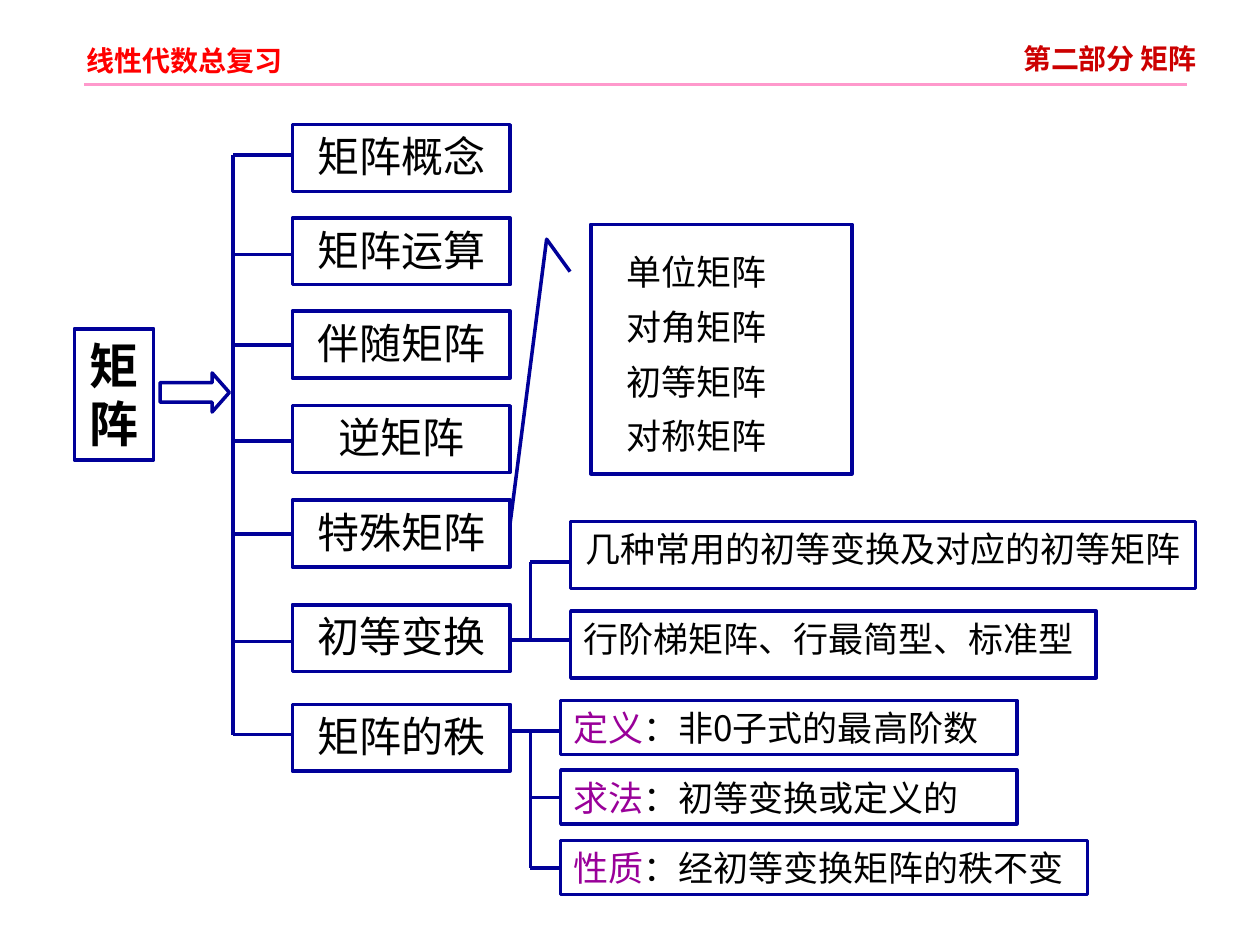
from dataclasses import dataclass

from lxml import etree
from pptx import Presentation
from pptx.dml.color import RGBColor
from pptx.enum.shapes import MSO_CONNECTOR, MSO_SHAPE
from pptx.enum.text import MSO_ANCHOR, MSO_AUTO_SIZE, PP_ALIGN
from pptx.oxml.ns import qn
from pptx.util import Inches, Pt

NAVY = RGBColor(0x00, 0x00, 0x99)
PINK = RGBColor(0xFF, 0x99, 0xCC)
RED = RGBColor(0xFF, 0x00, 0x00)
DARK_RED = RGBColor(0xCC, 0x00, 0x00)
PURPLE = RGBColor(0x99, 0x00, 0x99)
BLACK = RGBColor(0x00, 0x00, 0x00)

FONT = "Noto Sans CJK SC"
LEFT, CENTER = PP_ALIGN.LEFT, PP_ALIGN.CENTER
TOP = MSO_ANCHOR.TOP
NO_FIT = MSO_AUTO_SIZE.NONE
STRAIGHT = MSO_CONNECTOR.STRAIGHT
RECTANGLE = MSO_SHAPE.RECTANGLE
RIGHT_ARROW = MSO_SHAPE.RIGHT_ARROW
CALLOUT = MSO_SHAPE.LINE_CALLOUT_2

# The slide is a grid of 100 columns by 75 rows of square cells.
COLUMNS, ROWS = 100, 75
CELL = Inches(10) / COLUMNS


@dataclass
class Area:
    column: float
    row: float
    columns: float
    rows: float

    def lengths(self) -> list[int]:
        return [cells(n) for n in (self.column, self.row, self.columns, self.rows)]


@dataclass
class Label:
    text: str
    size: int
    color: RGBColor = BLACK
    bold: bool = False
    align: int = LEFT
    lead: str = ""


@dataclass
class Topic:
    text: str
    row: float
    branch_row: float


TOPIC_COLUMN, TOPIC_WIDTH, TOPIC_HEIGHT = 23.2, 17.3, 5.3
TRUNK_COLUMN = 18.5
FORK_COLUMN = 42.1
TOPIC_END = 40.6
TOPICS = [
    Topic("矩阵概念", 9.9, 12.3),
    Topic("矩阵运算", 17.3, 20.2),
    Topic("伴随矩阵", 24.7, 27.4),
    Topic("逆矩阵", 32.2, 35),
    Topic("特殊矩阵", 39.7, 42.4),
    Topic("初等变换", 48, 50.9),
    Topic("矩阵的秩", 55.9, 58.3),
]
SPECIAL_MATRICES = ["单位矩阵", "对角矩阵", "初等矩阵", "对称矩阵"]
CALLOUT_ADJUSTMENTS = [0.19, -0.08, 0.06, -0.17, 1.2, -0.31]

TRANSFORM_COLUMN = 45.3
TRANSFORM_ROWS = [44.6, 50.8]
TRANSFORMS = [
    (Area(TRANSFORM_COLUMN, 41.4, 49.6, 5.3),
     Label("几种常用的初等变换及对应的初等矩阵", 20, align=CENTER)),
    (Area(TRANSFORM_COLUMN, 48.5, 41.7, 5.3),
     Label("行阶梯矩阵、行最简型、标准型", 20)),
]

RANK_COLUMN = 44.5
RANK_ROWS = [58, 63.3, 68.9]
RANK_FACTS = [
    (Area(RANK_COLUMN, 55.6, 36.2, 4.3), Label("：非0子式的最高阶数", 20, lead="定义")),
    (Area(RANK_COLUMN, 61.1, 36.2, 4.3), Label("：初等变换或定义的", 20, lead="求法")),
    (Area(RANK_COLUMN, 66.7, 41.8, 4.3), Label("：经初等变换矩阵的秩不变", 20, lead="性质")),
]


def cells(count: float) -> int:
    return round(count * CELL)


def set_font(font, label: Label) -> None:
    font.name, font.size, font.bold = FONT, Pt(label.size), label.bold
    font.color.rgb = label.color


def write(frame, labels: list[Label], gap: float = 0, wrap: bool = True) -> None:
    """Fill a frame from its top, one paragraph a label, gap points apart."""
    frame.word_wrap = wrap
    frame.auto_size = NO_FIT
    frame.vertical_anchor = TOP
    for index, label in enumerate(labels):
        para = frame.add_paragraph() if index else frame.paragraphs[0]
        para.alignment = label.align
        para.space_before = Pt(gap if index else 0)
        properties = para._p.get_or_add_pPr()
        properties.set("marL", "0")
        properties.set("indent", "0")
        etree.SubElement(properties, qn("a:buNone"))
        set_font(para.font, label)
        if label.lead:
            span = para.add_run()
            span.text = label.lead
            span.font.color.rgb = PURPLE
        para.add_run().text = label.text


def place_text(shape, area: Area, labels: list[Label], gap: float = 0) -> None:
    """Place unwrapped text; no right inset, as placeholders may wrap anyway."""
    shape.left, shape.top, shape.width, shape.height = area.lengths()
    shape.text_frame.margin_right = 0
    write(shape.text_frame, labels, gap, wrap=False)


def outline(slide, kind: int, area: Area, adjustments: tuple | list = ()):
    shape = slide.shapes.add_shape(kind, *area.lengths())
    shape.shadow.inherit = False
    shape.fill.background()
    shape.line.color.rgb = NAVY
    shape.line.width = Pt(2)
    for index, value in enumerate(adjustments):
        shape.adjustments[index] = value
    return shape


def label_box(slide, area: Area, label: Label) -> None:
    write(outline(slide, RECTANGLE, area).text_frame, [label])


def rule(slide, start: tuple[float, float], end: tuple[float, float],
         color: RGBColor = NAVY, width: float = 2) -> None:
    points = [cells(n) for n in (*start, *end)]
    line = slide.shapes.add_connector(STRAIGHT, *points)
    line.line.color.rgb = color
    line.line.width = Pt(width)
    etree.SubElement(line._element.spPr, qn("a:effectLst"))


def bracket(slide, trunk: float, rows: list[float], end: float) -> None:
    """Draw a vertical trunk with one branch to the right at each row."""
    rule(slide, (trunk, rows[0]), (trunk, rows[-1]))
    for row in rows:
        rule(slide, (trunk, row), (end, row))


def main() -> None:
    deck = Presentation()
    deck.slide_width, deck.slide_height = cells(COLUMNS), cells(ROWS)
    page = deck.slides.add_slide(deck.slide_layouts[1])

    rule(page, (6.7, 6.7), (94.2, 6.7), PINK, 1.5)
    course_area = Area(5.9, 3, 17.5, 3.7)
    place_text(page.shapes.add_textbox(*course_area.lengths()), course_area,
               [Label("线性代数总复习", 16, RED, True)])
    place_text(page.shapes.title, Area(80.2, 2.8, 15.8, 3.7),
               [Label("第二部分 矩阵", 16, DARK_RED, True)])

    label_box(page, Area(5.9, 26.1, 6.3, 10.4), Label("矩阵", 28, bold=True, align=CENTER))
    outline(page, RIGHT_ARROW, Area(12.7, 29.6, 5.5, 3.1), (0.5, 0.44))
    bracket(page, TRUNK_COLUMN, [topic.branch_row for topic in TOPICS], TOPIC_COLUMN)
    for topic in TOPICS:
        label_box(page, Area(TOPIC_COLUMN, topic.row, TOPIC_WIDTH, TOPIC_HEIGHT),
                  Label(topic.text, 24, align=CENTER))

    outline(page, CALLOUT, Area(46.9, 17.8, 20.7, 19.8), CALLOUT_ADJUSTMENTS)
    place_text(page.placeholders[1], Area(48.7, 19.4, 13.1, 17.4),
               [Label(text, 20) for text in SPECIAL_MATRICES], gap=7.2)

    for column, rows, facts in ((TRANSFORM_COLUMN, TRANSFORM_ROWS, TRANSFORMS),
                                (RANK_COLUMN, RANK_ROWS, RANK_FACTS)):
        bracket(page, FORK_COLUMN, rows, column)
        for area, label in facts:
            label_box(page, area, label)
    for row in (TRANSFORM_ROWS[-1], RANK_ROWS[0]):
        rule(page, (TOPIC_END, row), (FORK_COLUMN, row))

    deck.save("out.pptx")


if __name__ == "__main__":
    main()
